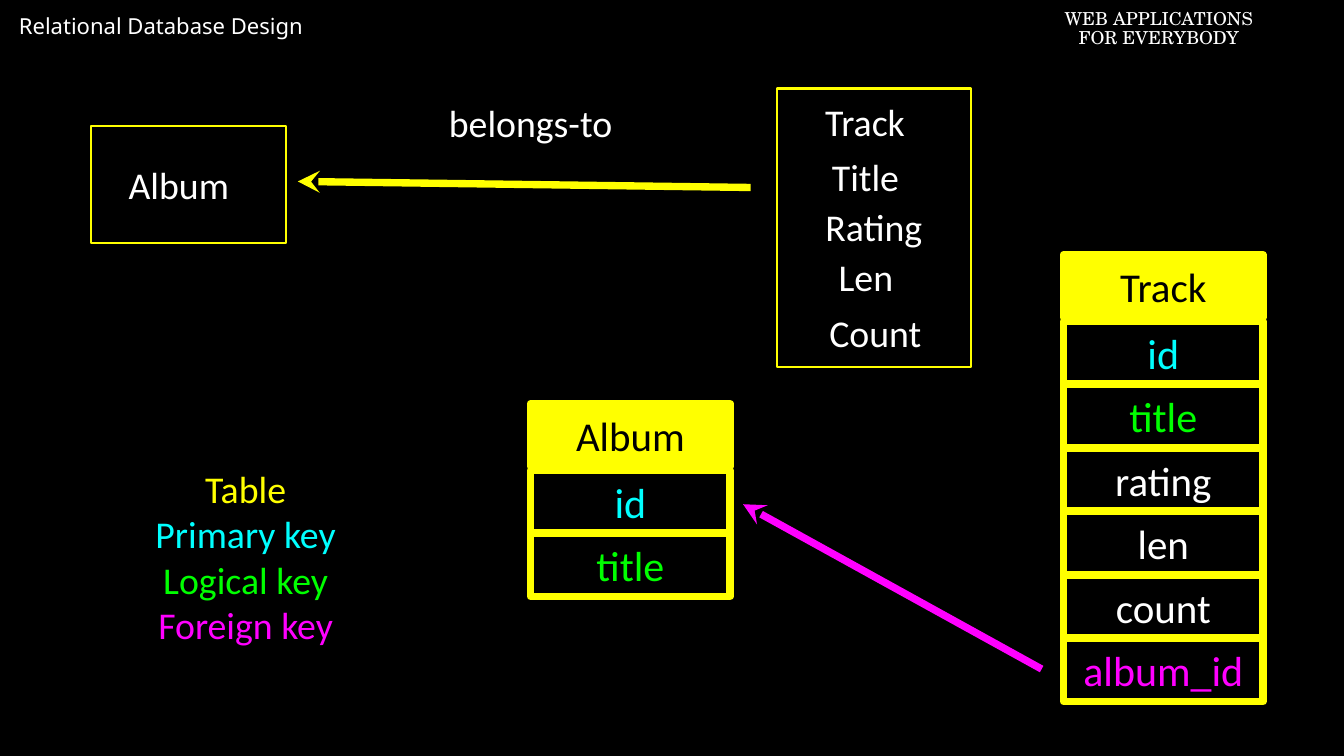
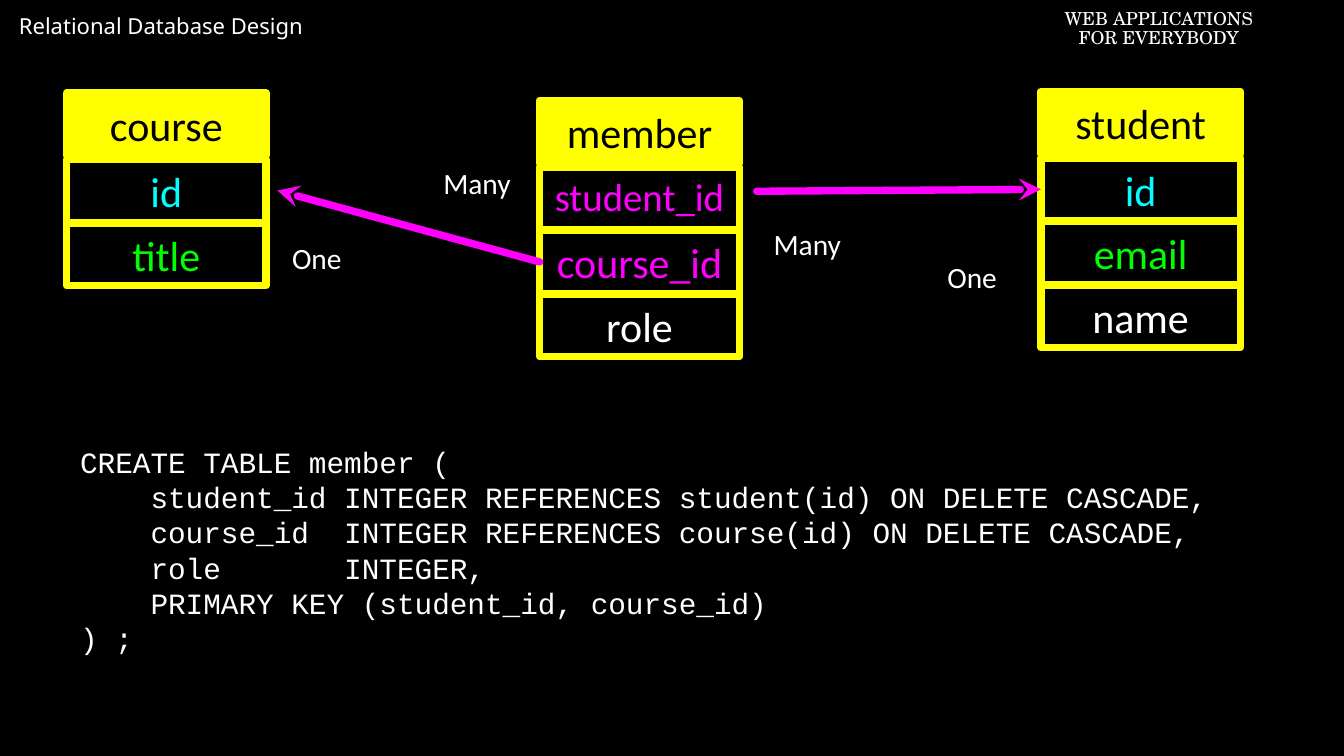
import pptx
import pptx.util
import pptx.dml.color
import pptx.enum.shapes
import pptx.enum.text
import pptx.oxml

Inches = pptx.util.Inches
Pt = pptx.util.Pt
RGB = pptx.dml.color.RGBColor.from_string
ALIGN = pptx.enum.text.PP_ALIGN
ANCHOR = pptx.enum.text.MSO_ANCHOR
RECT = pptx.enum.shapes.MSO_SHAPE.RECTANGLE
LINE = pptx.enum.shapes.MSO_CONNECTOR.STRAIGHT
COLORS = {"back": "000000", "text": "FFFFFF", "table": "FFFF00",
          "primary": "00FFFF", "logical": "00FF00", "foreign": "FF00FF"}


def write(frame, lines, size, font="Calibri", pad=(0, 0), align=ALIGN.CENTER, wrap=True, space=None):
    frame.word_wrap = wrap
    frame.auto_size = pptx.enum.text.MSO_AUTO_SIZE.NONE
    frame.vertical_anchor = ANCHOR.TOP if any(pad) else ANCHOR.MIDDLE
    frame.margin_left = frame.margin_right = Inches(pad[0])
    frame.margin_top = frame.margin_bottom = Inches(pad[1])
    for i, (text, color) in enumerate(lines):
        para = frame.add_paragraph() if i else frame.paragraphs[0]
        para.alignment = align
        para.line_spacing = space
        run = para.add_run()
        run.text = text
        run.font.size = Pt(size)
        run.font.name = font
        run.font.bold = False
        run.font.color.rgb = RGB(COLORS[color])


def link(slide, head, tail, color, cap="flat"):
    line = slide.shapes.add_connector(LINE, *[Inches(v) for v in head + tail])
    line.line.color.rgb = RGB(COLORS[color])
    line.line.width = Pt(7)
    line.line._ln.set("cap", cap)
    space = 'xmlns:a="http://schemas.openxmlformats.org/drawingml/2006/main"'
    line.line._ln.append(pptx.oxml.parse_xml(f'<a:headEnd {space} type="stealth"/>'))
    line._element.spPr.append(pptx.oxml.parse_xml(f"<a:effectLst {space}/>"))
    return line


deck = pptx.Presentation()
deck.slide_width = Inches(17.78)
deck.slide_height = Inches(10)
fill = deck.slide_master.background.fill
fill.solid()
fill.fore_color.rgb = RGB(COLORS["back"])

slides = []
for _ in range(2):
    slide = deck.slides.add_slide(deck.slide_layouts[5])
    title = slide.shapes.title
    title.left, title.top, title.width, title.height = [Inches(v) for v in (0.07, 0.07, 5.32, 0.88)]
    write(title.text_frame, [("Relational Database Design", "text")], 21, "Noto Sans",
          (0.18, 0.09), ALIGN.LEFT)
    course = slide.shapes.add_textbox(Inches(13.31), Inches(0.08), Inches(4.04), Inches(0.61))
    write(course.text_frame, [("WEB APPLICATIONS", "text"), ("FOR EVERYBODY", "text")], 17,
          "TeX Gyre Schola", (0.1, 0.05), space=0.9)
    slides.append(slide)
model, schema = slides

for left, top, height in [(1.21, 1.67, 1.54), (10.28, 1.17, 3.68)]:
    box = model.shapes.add_shape(RECT, Inches(left), Inches(top), Inches(2.57), Inches(height))
    box.shadow.inherit = False
    box.fill.background()
    box.line.color.rgb = RGB(COLORS["table"])
    box.line.width = Pt(2)

labels = [("Album", 1.47, 2.14, 1.79), ("belongs-to", 5.76, 1.32, 2.52),
          ("Track", 10.68, 1.3, 1.53), ("Title", 10.82, 2.03, 1.26),
          ("Rating", 10.8, 2.7, 1.52), ("Len", 10.9, 3.36, 1.11), ("Count", 10.87, 4.1, 1.42)]
for text, left, top, width in labels:
    label = model.shapes.add_textbox(Inches(left), Inches(top), Inches(width), Inches(0.6))
    write(label.text_frame, [(text, "text")], 36, wrap=False)

legend = model.shapes.add_textbox(Inches(1.86), Inches(6.16), Inches(2.78), Inches(2.4))
write(legend.text_frame, [("Table", "table"), ("Primary key", "primary"),
                          ("Logical key", "logical"), ("Foreign key", "foreign")], 36, wrap=False)

tables = [
    (model, 7.02, 5.34, [("Album", "back", 39), ("id", "primary", 40), ("title", "logical", 40)]),
    (model, 14.07, 3.37, [("Track", "back", 39), ("id", "primary", 40), ("title", "logical", 40),
                          ("rating", "text", 39), ("len", "text", 39), ("count", "text", 39),
                          ("album_id", "foreign", 40)]),
    (schema, 0.88, 1.23, [("course", "back", 40), ("id", "primary", 40), ("title", "logical", 40)]),
    (schema, 7.14, 1.33, [("member", "back", 40), ("student_id", "foreign", 37),
                          ("course_id", "foreign", 40), ("role", "text", 40)]),
    (schema, 13.77, 1.21, [("student", "back", 40), ("id", "primary", 40),
                           ("email", "logical", 40), ("name", "text", 40)]),
]
cells = {}
for slide, left, top, rows in tables:
    for i, (text, color, size) in enumerate(rows):
        shift = 0.04 + 0.84 * i if i else 0
        cell = slide.shapes.add_shape(RECT, Inches(left), Inches(top + shift), Inches(2.64), Inches(0.83))
        cell.shadow.inherit = False
        cell.line.color.rgb = RGB(COLORS["table"])
        cell.line.width = Pt(7)
        if i:
            cell.fill.background()
        else:
            cell.fill.solid()
            cell.fill.fore_color.rgb = RGB(COLORS["table"])
        write(cell.text_frame, [(text, color)], size, space=0.9 if size == 37 else None)
        cells[rows[0][0], text] = cell

link(model, (3.94, 2.4), (9.93, 2.48), "table")
link(model, (9.83, 6.67), (13.78, 8.85), "foreign")
link(schema, (3.67, 2.52), (7.14, 3.42), "foreign", "rnd").end_connect(cells["member", "course_id"], 1)
link(schema, (13.77, 2.5), (10.01, 2.53), "foreign", "rnd").begin_connect(cells["student", "id"], 1)

for text, left, top, width in [("Many", 5.63, 2.1, 1.36), ("One", 3.63, 3.08, 1.12),
                               ("Many", 10, 2.9, 1.36), ("One", 12.3, 3.34, 1.12)]:
    label = schema.shapes.add_textbox(Inches(left), Inches(top), Inches(width), Inches(0.65))
    write(label.text_frame, [(text, "text")], 28, pad=(0.18, 0.09), wrap=False)

code = """CREATE TABLE member (
    student_id INTEGER REFERENCES student(id) ON DELETE CASCADE,
    course_id  INTEGER REFERENCES course(id) ON DELETE CASCADE,
    role       INTEGER,
    PRIMARY KEY (student_id, course_id)
) ;"""
query = schema.shapes.add_textbox(Inches(0.88), Inches(5.78), Inches(15.83), Inches(2.98))
write(query.text_frame, [(text, "text") for text in code.splitlines()], 28, "Courier New",
      (0.18, 0.09), ALIGN.LEFT)

deck.save("out.pptx")
